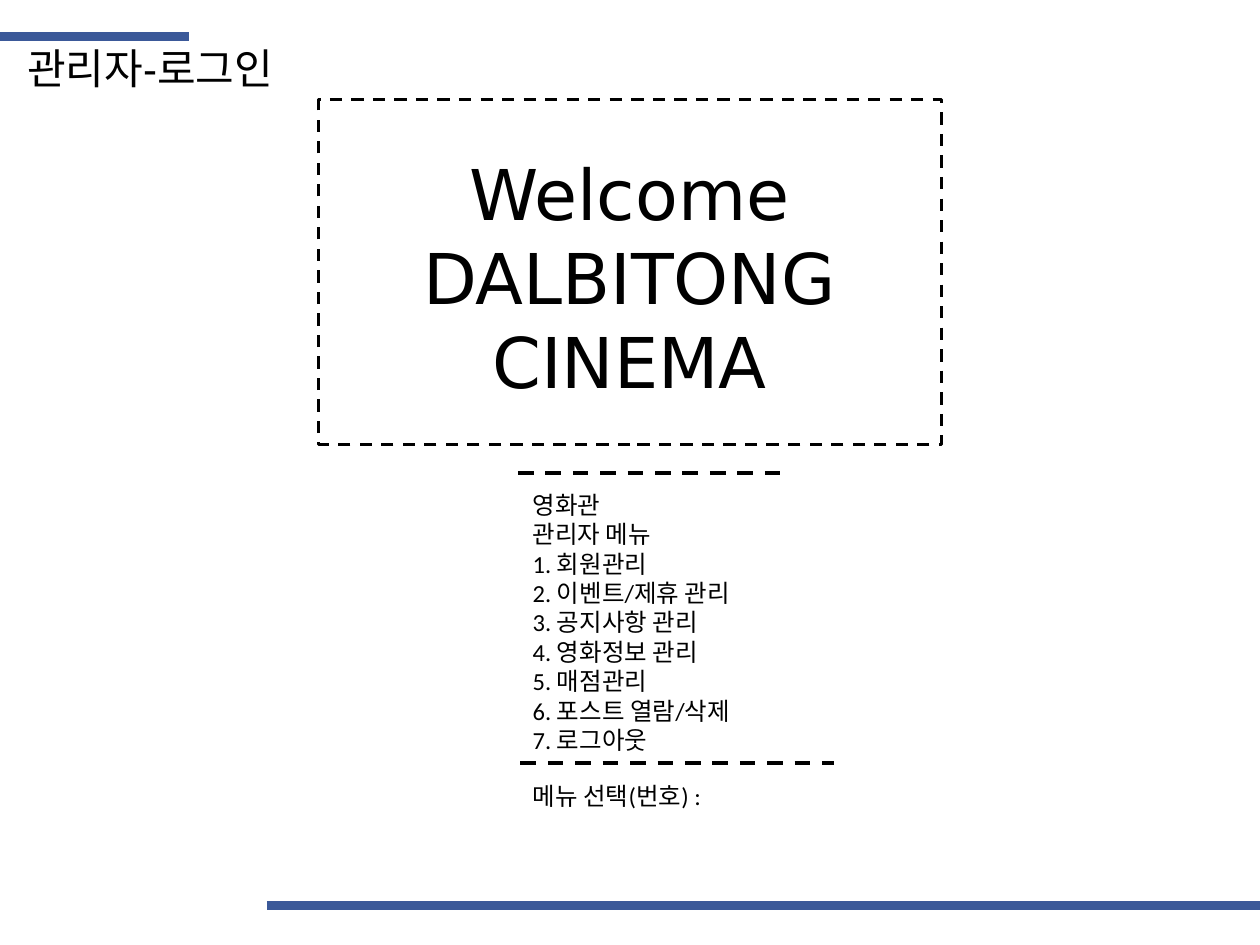
from dataclasses import dataclass

from lxml.etree import SubElement
from pptx import Presentation
from pptx.dml.color import RGBColor
from pptx.enum.dml import MSO_LINE
from pptx.enum.shapes import MSO_CONNECTOR, MSO_SHAPE
from pptx.enum.text import PP_ALIGN
from pptx.oxml.ns import qn
from pptx.util import Cm, Pt


@dataclass(frozen=True)
class Theme:
    accent: RGBColor = RGBColor(0x3B, 0x59, 0x99)
    ink: RGBColor = RGBColor(0, 0, 0)
    title_size: int = 24
    banner_size: int = 40
    menu_size: int = 14
    title_font: str = "Arial"
    banner_font: str = "DejaVu Sans"
    menu_font: str = "Calibri"
    bar_width: float = 5
    frame_width: float = 1.75
    rule_width: float = 2.25


THEME = Theme()

# Content
TITLE = ["관리자-로그인"]
BANNER = ["Welcome", "DALBITONG", "CINEMA"]
MENU_HEADING = ["영화관", "관리자 메뉴"]
MENU_ITEMS = ["회원관리", "이벤트/제휴 관리", "공지사항 관리", "영화정보 관리",
              "매점관리", "포스트 열람/삭제", "로그아웃"]
PROMPT = ["메뉴 선택(번호) :"]

# Layout, in centimetres
SLIDE_WIDTH, SLIDE_HEIGHT = 25.4, 19.05
MENU_LEFT = 10.49
BARS = [(0, 3.81, 0.74), (5.38, SLIDE_WIDTH, 18.26)]  # left, right, height
MENU_RULES = [(10.44, 15.72, 9.53), (MENU_LEFT, 16.81, 15.39)]
FRAME = (6.43, 2.01, 12.55, 6.96)


def add_rule(slide, left, right, y, color, width, dash=None):
    rule = slide.shapes.add_connector(
        MSO_CONNECTOR.STRAIGHT, Cm(left), Cm(y), Cm(right), Cm(y))
    rule.line.color.rgb = color
    rule.line.width = Pt(width)
    if dash:
        rule.line.dash_style = dash
    SubElement(rule._element.spPr, qn("a:effectLst"))


def add_text(slide, box, lines, font, size, alignment=PP_ALIGN.LEFT):
    shape = slide.shapes.add_textbox(*map(Cm, box))
    frame = shape.text_frame
    frame.word_wrap = True
    for index, line in enumerate(lines):
        paragraph = frame.add_paragraph() if index else frame.paragraphs[0]
        paragraph.alignment = alignment
        run = paragraph.add_run()
        run.text = line
        run.font.name = font
        run.font.size = Pt(size)
        run.font.color.rgb = THEME.ink


def main():
    presentation = Presentation()
    presentation.slide_width = Cm(SLIDE_WIDTH)
    presentation.slide_height = Cm(SLIDE_HEIGHT)
    slide = presentation.slides.add_slide(presentation.slide_layouts[6])

    # Page bars and title
    for bar in BARS:
        add_rule(slide, *bar, THEME.accent, THEME.bar_width)
    add_text(slide, (0.3, 0.74, 11.1, 1.27), TITLE,
             THEME.title_font, THEME.title_size)

    # Welcome banner
    frame = slide.shapes.add_shape(MSO_SHAPE.RECTANGLE, *map(Cm, FRAME))
    frame.shadow.inherit = False
    frame.fill.background()
    frame.line.color.rgb = THEME.ink
    frame.line.width = Pt(THEME.frame_width)
    frame.line.dash_style = MSO_LINE.DASH
    add_text(slide, (5.54, 2.92, 14.3, 4.7), BANNER,
             THEME.banner_font, THEME.banner_size, PP_ALIGN.CENTER)

    # Menu between dashed rules, then the prompt
    for rule in MENU_RULES:
        add_rule(slide, *rule, THEME.ink, THEME.rule_width, MSO_LINE.DASH)
    items = [f"{number}. {item}" for number, item in enumerate(MENU_ITEMS, 1)]
    for top, width, height, lines in [(9.75, 6.93, 5.64, MENU_HEADING + items),
                                      (15.62, 6.07, 0.86, PROMPT)]:
        add_text(slide, (MENU_LEFT, top, width, height), lines,
                 THEME.menu_font, THEME.menu_size)

    presentation.save("out.pptx")


if __name__ == "__main__":
    main()
